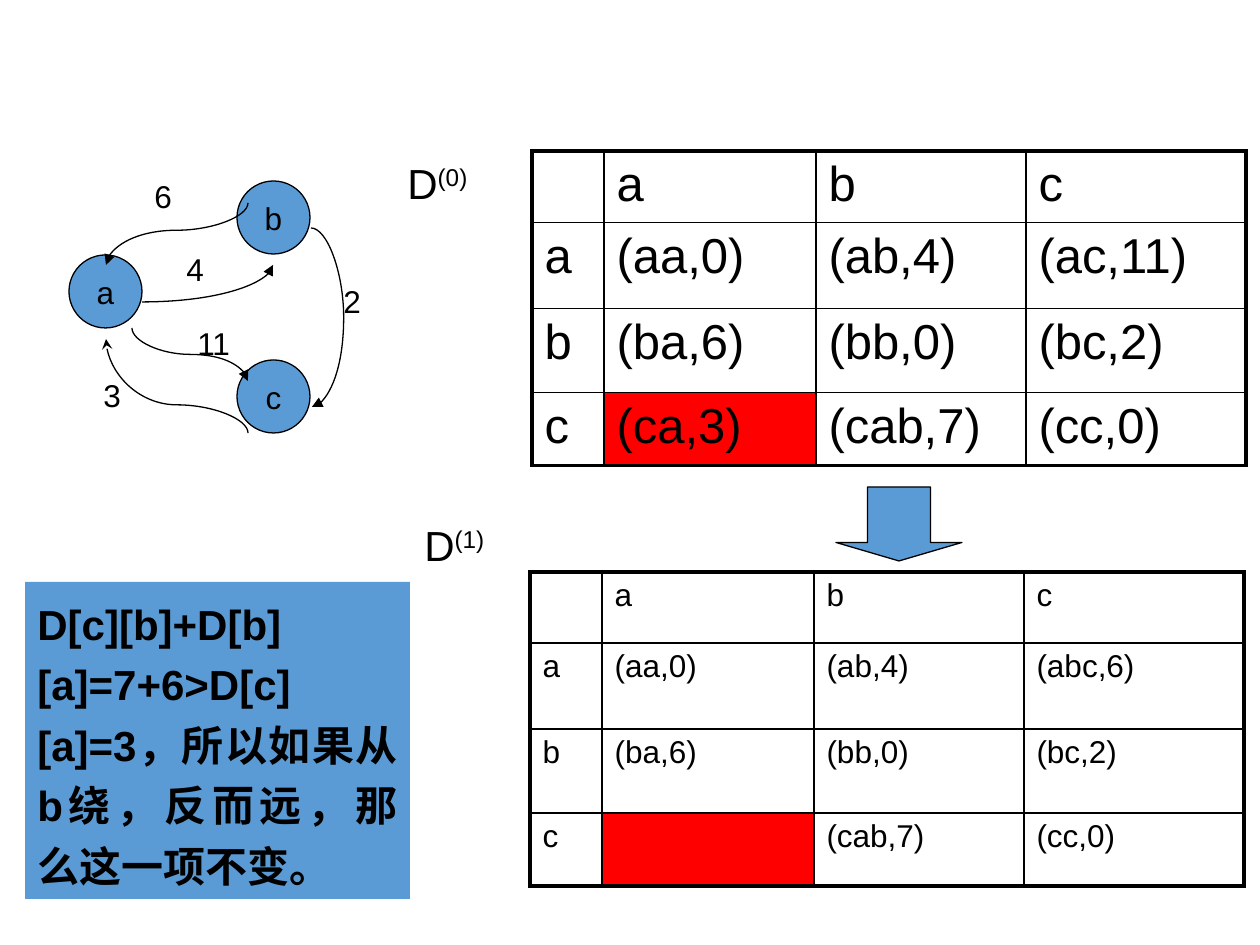
from lxml.etree import SubElement
from pptx import Presentation
from pptx.dml.color import RGBColor
from pptx.enum.shapes import MSO_CONNECTOR, MSO_SHAPE
from pptx.enum.text import MSO_ANCHOR, PP_ALIGN
from pptx.oxml.ns import qn
from pptx.util import Pt

EMU_PER_PX = 914400 / 126
COLORS = {"ink": "000000", "blue": "5B9BD5", "highlight": "FF0000"}
FONT = "Arial"

NODE_SIZE = 73
NODES = {"a": (0, 84), "b": (168, 10), "c": (168, 189)}
# start, end, quarter turn in degrees, flips, preset, bend, arrow end, arrow type
EDGES = [
    ((73, 131), (204, 94), 0, "V", "curvedConnector2", None, "tailEnd", "triangle"),
    ((179, 32), (37, 94), 270, "HV", "curvedConnector3", 0.44, "tailEnd", "triangle"),
    ((63, 157), (179, 210), 90, "V", "curvedConnector3", 0.5, "tailEnd", "triangle"),
    ((37, 168), (179, 262), 90, "V", "curvedConnector3", 0.7, "headEnd", "stealth"),
    ((242, 57), (243, 236), 0, "", "curvedConnector3", 33, "tailEnd", "triangle"),
]
WEIGHTS = [("11", 116, 147), ("6", 73, 0), ("4", 105, 73), ("2", 262, 105), ("3", 22, 199)]

COLUMN_WIDTHS = [72, 212, 210, 220]
ROW_HEIGHTS = [71, 86, 84, 73]
HIGHLIGHTED_CELL = (3, 1)
INITIAL_MATRIX = [
    ["", "a", "b", "c"],
    ["a", "(aa,0)", "(ab,4)", "(ac,11)"],
    ["b", "(ba,6)", "(bb,0)", "(bc,2)"],
    ["c", "(ca,3)", "(cab,7)", "(cc,0)"],
]
UPDATED_MATRIX = [
    ["", "a", "b", "c"],
    ["a", "(aa,0)", "(ab,4)", "(abc,6)"],
    ["b", "(ba,6)", "(bb,0)", "(bc,2)"],
    ["c", "", "(cab,7)", "(cc,0)"],
]
EXPLANATION = "D[c][b]+D[b][a]=7+6>D[c][a]=3，所以如果从b绕，反而远，那么这一项不变。"


def px(*lengths):
    return [round(length * EMU_PER_PX) for length in lengths]


def color(name):
    return RGBColor.from_string(COLORS[name])


def style_font(paragraph, size, bold=None):
    font = paragraph.font
    font.name, font.size, font.bold = FONT, Pt(size), bold
    font.color.rgb = color("ink")


def add_filled_shape(slide, preset, box, outlined=True):
    shape = slide.shapes.add_shape(preset, *px(*box))
    shape.shadow.inherit = False
    shape.fill.solid()
    shape.fill.fore_color.rgb = color("blue")
    if outlined:
        shape.line.color.rgb = color("ink")
        shape.line.width = Pt(0.75)
    else:
        shape.line.fill.background()
    return shape


def add_label(slide, box, text, size, superscript=""):
    frame = slide.shapes.add_textbox(*px(*box)).text_frame
    frame.word_wrap = True
    paragraph = frame.paragraphs[0]
    paragraph.add_run().text = text
    if superscript:
        run = paragraph.add_run()
        run.text = superscript
        run.font._element.set("baseline", "30000")
    style_font(paragraph, size)


def add_node(slide, box, name):
    frame = add_filled_shape(slide, MSO_SHAPE.OVAL, box).text_frame
    frame.word_wrap = False
    frame.vertical_anchor = MSO_ANCHOR.MIDDLE
    paragraph = frame.paragraphs[0]
    paragraph.text = name
    paragraph.alignment = PP_ALIGN.CENTER
    style_font(paragraph, 18)


def add_edge(slide, start, end, turn, flips, preset, bend, arrow_end, arrow_type):
    """Draw a curved arrow; a quarter turn swaps width and height about the centre."""
    width, height = abs(end[0] - start[0]), abs(end[1] - start[1])
    center_x, center_y = (start[0] + end[0]) / 2, (start[1] + end[1]) / 2
    if turn:
        width, height = height, width
    connector = slide.shapes.add_connector(MSO_CONNECTOR.CURVE, 0, 0, 0, 0)
    connector.left, connector.top, connector.width, connector.height = px(
        center_x - width / 2, center_y - height / 2, width, height)
    properties = connector._element.spPr
    transform = properties.find(qn("a:xfrm"))
    if turn:
        transform.set("rot", str(turn * 60000))
    for flip in flips:
        transform.set(f"flip{flip}", "1")
    geometry = properties.find(qn("a:prstGeom"))
    geometry.set("prst", preset)
    if bend is not None:
        guides = geometry.find(qn("a:avLst"))
        if guides is None:
            guides = SubElement(geometry, qn("a:avLst"))
        SubElement(guides, qn("a:gd"), name="adj1", fmla=f"val {round(bend * 100000)}")
    connector.line.color.rgb = color("ink")
    connector.line.width = Pt(0.75)
    SubElement(properties.find(qn("a:ln")), qn(f"a:{arrow_end}"), type=arrow_type)
    SubElement(properties, qn("a:effectLst"))


def add_graph(slide, left, top):
    for name, (x, y) in NODES.items():
        add_node(slide, (left + x, top + y, NODE_SIZE, NODE_SIZE), name)
    for start, end, *style in EDGES:
        start, end = [(left + x, top + y) for x, y in (start, end)]
        add_edge(slide, start, end, *style)
    for weight, x, y in WEIGHTS:
        add_label(slide, (left + x, top + y, 63, 50), weight, 18)


def set_borders(cell, row, column):
    """Rule the cell, with a heavier line on the outer edge of the table."""
    outer = {"L": column == 0, "R": column == len(COLUMN_WIDTHS) - 1,
             "T": row == 0, "B": row == len(ROW_HEIGHTS) - 1}
    properties = cell._tc.get_or_add_tcPr()
    for side, is_outer in outer.items():
        line = SubElement(properties, qn(f"a:ln{side}"), w=str(Pt(2.25 if is_outer else 1)))
        SubElement(SubElement(line, qn("a:solidFill")), qn("a:srgbClr"), val=COLORS["ink"])


def add_matrix(slide, left, top, values, size):
    box = px(left, top, sum(COLUMN_WIDTHS), sum(ROW_HEIGHTS))
    table = slide.shapes.add_table(len(ROW_HEIGHTS), len(COLUMN_WIDTHS), *box).table
    table.first_row = table.horz_banding = False
    for column, width in zip(table.columns, px(*COLUMN_WIDTHS)):
        column.width = width
    for row, height in zip(table.rows, px(*ROW_HEIGHTS)):
        row.height = height
    for row, texts in enumerate(values):
        for column, text in enumerate(texts):
            cell = table.cell(row, column)
            set_borders(cell, row, column)
            if (row, column) == HIGHLIGHTED_CELL:
                cell.fill.solid()
                cell.fill.fore_color.rgb = color("highlight")
            else:
                cell.fill.background()
            paragraph = cell.text_frame.paragraphs[0]
            paragraph.text = text
            style_font(paragraph, size)


def add_explanation(slide, box):
    frame = add_filled_shape(slide, MSO_SHAPE.RECTANGLE, box, outlined=False).text_frame
    frame.word_wrap = True
    frame.vertical_anchor = MSO_ANCHOR.TOP
    paragraph = frame.paragraphs[0]
    paragraph.text = EXPLANATION
    paragraph.alignment = PP_ALIGN.JUSTIFY
    paragraph.line_spacing = 1.2
    style_font(paragraph, 24, bold=True)


def main():
    presentation = Presentation()
    presentation.slide_width, presentation.slide_height = px(1260, 945)
    slide = presentation.slides.add_slide(presentation.slide_layouts[6])
    add_graph(slide, 69, 171)
    add_matrix(slide, 530, 572, UPDATED_MATRIX, 18)
    add_label(slide, (412, 513, 126, 63), "D", 24, "(1)")
    arrow = add_filled_shape(slide, MSO_SHAPE.DOWN_ARROW, (836, 487, 126, 74))
    arrow.adjustments[0], arrow.adjustments[1] = 0.5, 0.25
    add_matrix(slide, 532, 151, INITIAL_MATRIX, 28)
    add_label(slide, (395, 151, 126, 63), "D", 24, "(0)")
    add_explanation(slide, (25, 582, 385, 317))
    presentation.save("out.pptx")


if __name__ == "__main__":
    main()
